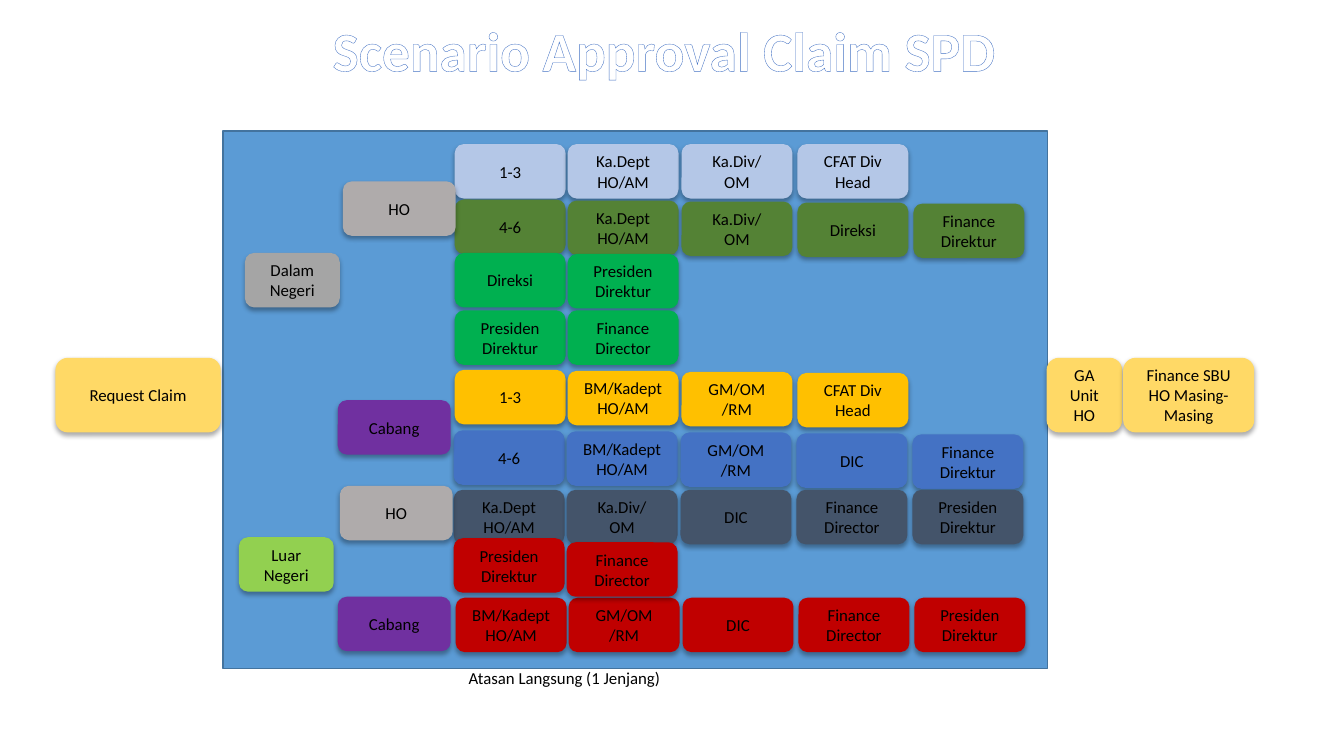
from lxml import etree
from pptx import Presentation
from pptx.dml.color import RGBColor
from pptx.enum.dml import MSO_PATTERN
from pptx.enum.shapes import MSO_SHAPE as SHAPE
from pptx.enum.text import MSO_ANCHOR as ANCHOR, MSO_AUTO_SIZE as AUTO, PP_ALIGN as ALIGN
from pptx.oxml import parse_xml
from pptx.oxml.ns import nsdecls, qn
from pptx.util import Inches, Pt

# Slide grid: one column and one row are one inch
COLS, ROWS = 13.33, 7.5
WIDTH, HEIGHT = Inches(COLS), Inches(ROWS)
FONT = "Calibri"

BLACK = RGBColor(0x00, 0x00, 0x00)
WHITE = RGBColor(0xFF, 0xFF, 0xFF)
PANEL = RGBColor(0x5B, 0x9B, 0xD5)
PANEL_EDGE = RGBColor(0x43, 0x73, 0x9E)
HATCH = RGBColor(0x8F, 0xAA, 0xDC)
BLUE = RGBColor(0x44, 0x72, 0xC4)
CREAM = RGBColor(0xFF, 0xD9, 0x66)
GREY = RGBColor(0xA5, 0xA5, 0xA5)
WARM_GREY = RGBColor(0xAF, 0xAB, 0xAB)
LIME = RGBColor(0x92, 0xD0, 0x50)
PURPLE = RGBColor(0x70, 0x30, 0xA0)
PALE_BLUE = RGBColor(0xB4, 0xC7, 0xE7)
OLIVE = RGBColor(0x54, 0x82, 0x35)
GREEN = RGBColor(0x00, 0xB0, 0x50)
AMBER = RGBColor(0xFF, 0xC0, 0x00)
SLATE = RGBColor(0x44, 0x54, 0x6A)
RED = RGBColor(0xC0, 0x00, 0x00)

# Approver boxes: size and column offsets from the start of a row
BOX_W, BOX_H = 1.1, 0.54
STEPS = (0, 1.12, 2.25, 3.4, 4.55)

# left, top, drop per column, fill, approvers
CHAINS = [
    (4.51, 1.43, 0, PALE_BLUE,
     ["1-3", "Ka.Dept HO/AM", "Ka.Div/\nOM", "CFAT Div Head"]),
    (4.51, 1.98, 0.01, OLIVE,
     ["4-6", "Ka.Dept HO/AM", "Ka.Div/\nOM", "Direksi", "Finance Direktur"]),
    (4.51, 2.51, 0.01, GREEN, ["Direksi", "Presiden Direktur"]),
    (4.51, 3.08, 0, GREEN, ["Presiden Direktur", "Finance Director"]),
    (4.51, 3.67, 0.01, AMBER,
     ["1-3", "BM/Kadept HO/AM", "GM/OM\n/RM", "CFAT Div Head"]),
    (4.5, 4.27, 0.01, BLUE,
     ["4-6", "BM/Kadept HO/AM", "GM/OM\n/RM", "DIC", "Finance Direktur"]),
    (4.5, 4.86, 0, SLATE,
     ["Ka.Dept HO/AM", "Ka.Div/\nOM", "DIC", "Finance Director", "Presiden Direktur"]),
    (4.52, 5.93, 0, RED,
     ["BM/Kadept HO/AM", "GM/OM /RM", "DIC", "Finance Director", "Presiden Direktur"]),
    (4.5, 5.34, 0.04, RED, ["Presiden Direktur", "Finance Director"]),
]

# left, top, width, height, fill, label
STAGES = [
    (0.55, 3.55, 1.64, 0.74, CREAM, "Request Claim"),
    (10.38, 3.55, 0.75, 0.74, CREAM, "GA Unit HO"),
    (11.14, 3.55, 1.3, 0.74, CREAM, "Finance SBU HO Masing-Masing"),
    (2.43, 2.51, 0.94, BOX_H, GREY, "Dalam Negeri"),
    (2.37, 5.33, 0.94, BOX_H, LIME, "Luar Negeri"),
]
OFFICES = [
    (3.4, 1.8, 1.12, BOX_H, WARM_GREY, "HO"),
    (3.35, 3.97, 1.12, BOX_H, PURPLE, "Cabang"),
    (3.37, 4.82, 1.12, BOX_H, WARM_GREY, "HO"),
    (3.35, 5.92, 1.12, BOX_H, PURPLE, "Cabang"),
]


def grid(left, top, width, height):
    """Turn grid columns and rows into slide lengths."""
    return (int(WIDTH * left / COLS), int(HEIGHT * top / ROWS),
            int(WIDTH * width / COLS), int(HEIGHT * height / ROWS))


def write(tf, text, align):
    for i, line in enumerate(text.split("\n")):
        p = tf.paragraphs[0] if i == 0 else tf.add_paragraph()
        p.alignment = align
        r = p.add_run()
        r.text = line
        r.font.name, r.font.size = FONT, Pt(12)
        r.font.color.rgb = BLACK


def add_shadow(sp):
    sp.shadow.inherit = False
    effects = sp._element.spPr.find(qn("a:effectLst"))
    effects.append(parse_xml(
        f'<a:outerShdw {nsdecls("a")} blurRad="{Pt(3.5)}" dist="{Pt(2.2)}" '
        'dir="5400000" algn="ctr" rotWithShape="0">'
        '<a:srgbClr val="000000"><a:alpha val="32000"/></a:srgbClr></a:outerShdw>'))


def add_box(shapes, left, top, width, height, fill, label):
    sp = shapes.add_shape(SHAPE.ROUNDED_RECTANGLE, *grid(left, top, width, height))
    sp.fill.solid()
    sp.fill.fore_color.rgb = fill
    sp.line.fill.background()
    add_shadow(sp)
    tf = sp.text_frame
    tf.word_wrap = True
    tf.vertical_anchor = ANCHOR.MIDDLE
    write(tf, label, ALIGN.CENTER)


def add_chain(shapes, left, top, drop, fill, approvers):
    for i, (step, label) in enumerate(zip(STEPS, approvers)):
        add_box(shapes, left + step, top + i * drop, BOX_W, BOX_H, fill, label)


def add_panel(shapes):
    sp = shapes.add_shape(SHAPE.RECTANGLE, *grid(2.21, 1.3, 8.18, 5.33))
    sp.shadow.inherit = False
    sp.fill.solid()
    sp.fill.fore_color.rgb = PANEL
    sp.line.color.rgb = PANEL_EDGE
    sp.line.width = Pt(1)


def add_caption(shapes):
    sp = shapes.add_textbox(*grid(4.55, 6.58, 2.12, 0.3))
    sp.text_frame.word_wrap = False
    sp.text_frame.auto_size = AUTO.SHAPE_TO_FIT_TEXT
    write(sp.text_frame, "Atasan Langsung (1 Jenjang)", ALIGN.LEFT)


def set_title(title):
    title.left, title.top, title.width, title.height = grid(1.15, 0.31, 11, 0.44)
    tf = title.text_frame
    tf.word_wrap = True
    tf.auto_size = AUTO.NONE
    tf.vertical_anchor = ANCHOR.MIDDLE
    p = tf.paragraphs[0]
    p.alignment = ALIGN.CENTER
    p.line_spacing = 0.9
    r = p.add_run()
    r.text = "Scenario Approval Claim SPD "
    font = r.font
    font.name, font.size, font.bold = FONT, Pt(39.6), True
    font.fill.patterned()
    font.fill.pattern = MSO_PATTERN.LIGHT_DOWNWARD_DIAGONAL
    font.fill.fore_color.rgb = HATCH
    font.fill.back_color.rgb = WHITE
    # Letter outline
    outline = etree.Element(qn("a:ln"), w=str(Pt(1)))
    solid = etree.SubElement(outline, qn("a:solidFill"))
    etree.SubElement(solid, qn("a:srgbClr"), val=str(BLUE))
    r._r.get_or_add_rPr().insert(0, outline)


def main():
    prs = Presentation()
    prs.slide_width, prs.slide_height = WIDTH, HEIGHT
    s = prs.slides.add_slide(prs.slide_layouts[5])
    set_title(s.shapes.title)

    # Approval flow
    shapes = s.shapes.add_group_shape().shapes
    add_panel(shapes)
    add_caption(shapes)
    for stage in STAGES:
        add_box(shapes, *stage)
    for chain in CHAINS:
        add_chain(shapes, *chain)
    for office in OFFICES:
        add_box(shapes, *office)

    prs.save("out.pptx")


if __name__ == "__main__":
    main()
